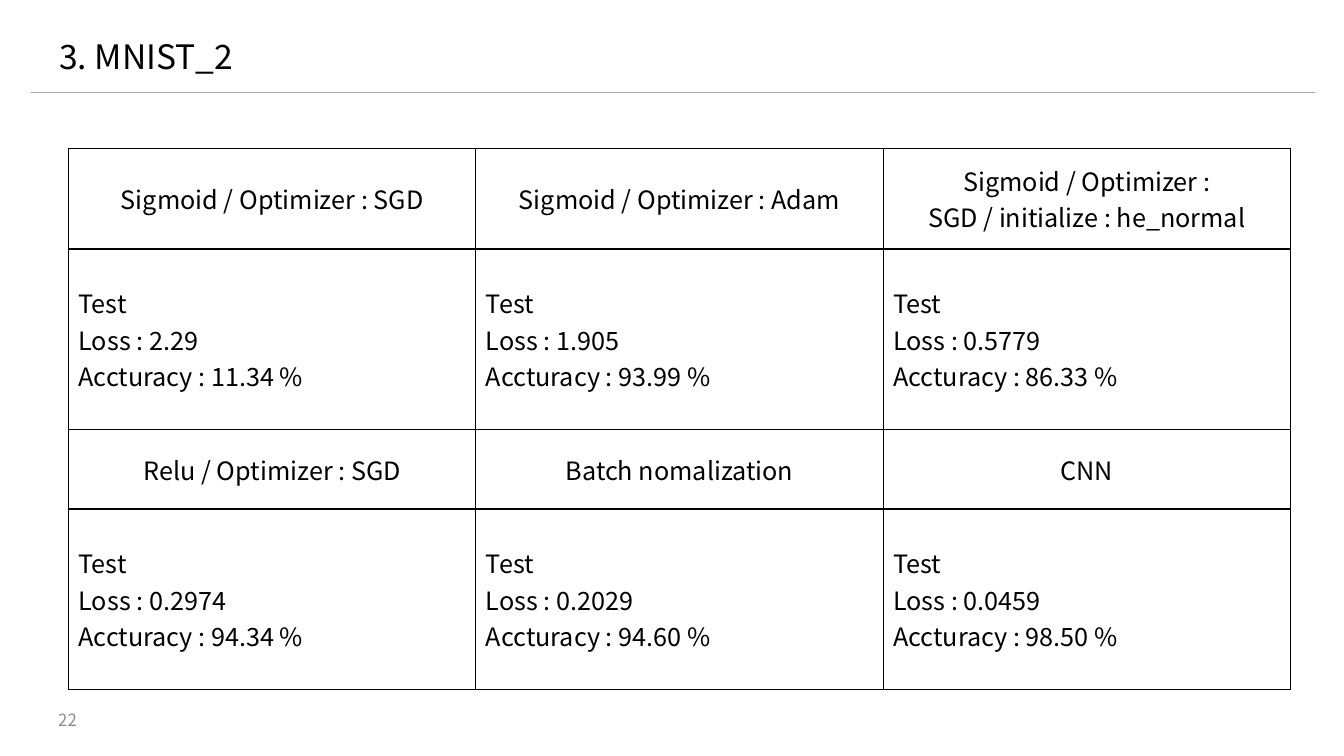
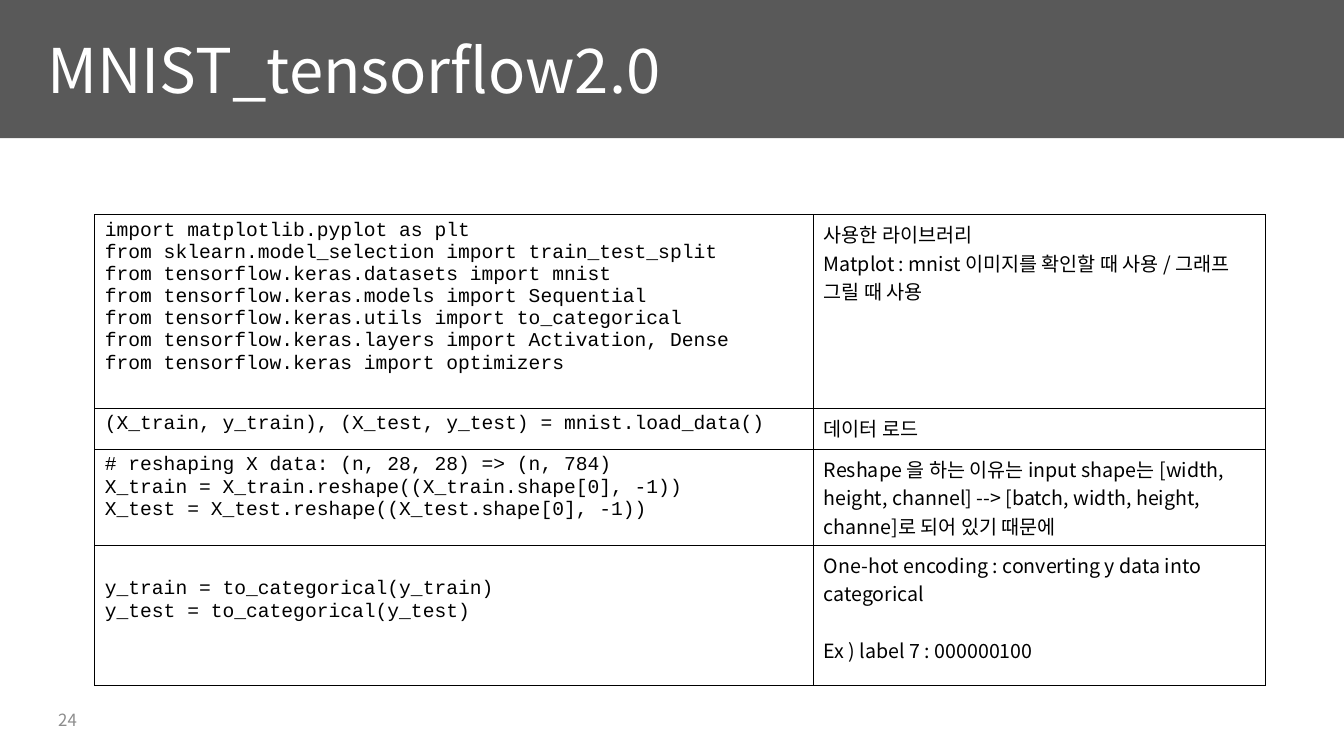
from lxml.etree import SubElement
from pptx import Presentation
from pptx.dml.color import RGBColor
from pptx.enum.shapes import MSO_CONNECTOR, MSO_SHAPE
from pptx.enum.text import MSO_ANCHOR, PP_ALIGN
from pptx.oxml.ns import qn
from pptx.util import Inches, Pt

BLACK = RGBColor(0x00, 0x00, 0x00)
WHITE = RGBColor(0xFF, 0xFF, 0xFF)
BAND = RGBColor(0x59, 0x59, 0x59)
RULE = RGBColor(0xA6, 0xA6, 0xA6)
GREY = RGBColor(0x8C, 0x8C, 0x8C)
SANS = "Noto Sans CJK KR"
MONO = "Courier New"

HEADS = [
    ["Sigmoid / Optimizer : SGD", "Sigmoid / Optimizer : Adam",
     "Sigmoid / Optimizer :\nSGD / initialize : he_normal"],
    ["Relu / Optimizer : SGD", "Batch nomalization", "CNN"],
]
SCORES = [
    [("2.29", "11.34"), ("1.905", "93.99"), ("0.5779", "86.33")],
    [("0.2974", "94.34"), ("0.2029", "94.60"), ("0.0459", "98.50")],
]
STEPS = [
    (["import matplotlib.pyplot as plt",
      "from sklearn.model_selection import train_test_split",
      "from tensorflow.keras.datasets import mnist",
      "from tensorflow.keras.models import Sequential",
      "from tensorflow.keras.utils import to_categorical",
      "from tensorflow.keras.layers import Activation, Dense",
      "from tensorflow.keras import optimizers"],
     ["사용한 라이브러리",
      "Matplot : mnist 이미지를 확인할 때 사용 / 그래프 그릴 때 사용"]),
    (["(X_train, y_train), (X_test, y_test) = mnist.load_data()"],
     ["데이터 로드"]),
    (["# reshaping X data: (n, 28, 28) => (n, 784)",
      "X_train = X_train.reshape((X_train.shape[0], -1))",
      "X_test = X_test.reshape((X_test.shape[0], -1))"],
     ["Reshape 을 하는 이유는 input shape는 [width, height, channel] --> "
      "[batch, width, height, channe]로 되어 있기 때문에"]),
    (["y_train = to_categorical(y_train)",
      "y_test = to_categorical(y_test)"],
     ["One-hot encoding : converting y data into categorical",
      "Ex ) label 7 : 000000100"]),
]


def add_run(para, text, size, color, face):
    run = para.add_run()
    run.text = text
    run.font.size = Pt(size)
    run.font.color.rgb = color
    run.font.name = face
    SubElement(run.font._element, qn("a:ea"), typeface=face)


def write(frame, lines, size, color=BLACK, face=SANS, align=PP_ALIGN.LEFT):
    frame.word_wrap = True
    for i, line in enumerate(lines):
        para = frame.add_paragraph() if i else frame.paragraphs[0]
        para.alignment = align
        for j, part in enumerate(line.split("\n")):
            if j:
                para.add_line_break()
            add_run(para, part, size, color, face)


def add_label(slide, text, box, size, color=BLACK, align=PP_ALIGN.LEFT):
    frame = slide.shapes.add_textbox(*map(Inches, box)).text_frame
    write(frame, [text], size, color, align=align)
    return frame


def add_page(slide, number):
    frame = add_label(slide, str(number), (0.31, 6.94, 0.72, 0.4), 12, GREY,
                      PP_ALIGN.CENTER)
    frame.vertical_anchor = MSO_ANCHOR.MIDDLE


def add_title(slide, text):
    frame = add_label(slide, text, (0.49, 0.38, 10, 0.44), 24)
    frame.paragraphs[0].line_spacing = 0.8
    rule = slide.shapes.add_connector(
        MSO_CONNECTOR.STRAIGHT, Inches(0.31), Inches(0.92),
        Inches(13.04), Inches(0.92))
    rule.line.color.rgb = RULE
    rule.line.width = Pt(0.5)
    SubElement(rule._element.spPr, qn("a:effectLst"))


def add_band(slide, text):
    band = slide.shapes.add_shape(MSO_SHAPE.RECTANGLE, 0, 0,
                                  Inches(13.33), Inches(1.37))
    band.shadow.inherit = False
    band.fill.solid()
    band.fill.fore_color.rgb = BAND
    band.line.fill.background()
    frame = band.text_frame
    frame.margin_left = Inches(0.47)
    frame.vertical_anchor = MSO_ANCHOR.MIDDLE
    write(frame, [text], 44, WHITE)


def add_edges(cell):
    props = cell._tc.get_or_add_tcPr()
    for side in ("lnL", "lnR", "lnT", "lnB"):
        edge = SubElement(props, qn(f"a:{side}"), w=str(Pt(1)))
        fill = SubElement(edge, qn("a:solidFill"))
        SubElement(fill, qn("a:srgbClr"), val=str(BLACK))


def add_grid(slide, left, top, widths, heights):
    grid = slide.shapes.add_table(
        len(heights), len(widths), Inches(left), Inches(top),
        Inches(sum(widths)), Inches(sum(heights))).table
    grid.first_row = False
    grid.horz_banding = False
    for col, width in zip(grid.columns, widths):
        col.width = Inches(width)
    for row, height in zip(grid.rows, heights):
        row.height = Inches(height)
    for cell in grid.iter_cells():
        add_edges(cell)
        cell.fill.background()
    return grid


def add_scores(slide):
    grid = add_grid(slide, 0.68, 1.47, [4.04] * 3, [1, 1.79, 0.79, 1.79])
    for i, (heads, scores) in enumerate(zip(HEADS, SCORES)):
        for col, (head, (loss, rate)) in enumerate(zip(heads, scores)):
            write(grid.cell(2 * i, col).text_frame, [head], 18,
                  align=PP_ALIGN.CENTER)
            write(grid.cell(2 * i + 1, col).text_frame,
                  ["Test", f"Loss : {loss}", f"Accturacy : {rate} %"], 18)
    for cell in grid.iter_cells():
        cell.vertical_anchor = MSO_ANCHOR.MIDDLE


def add_steps(slide):
    grid = add_grid(slide, 0.94, 2.13, [7.13, 4.48], [1.92, 0.41, 0.95, 1.39])
    for row, (code, notes) in enumerate(STEPS):
        write(grid.cell(row, 0).text_frame, code, 14, face=MONO)
        write(grid.cell(row, 1).text_frame, notes, 14)
    last = len(STEPS) - 1
    grid.cell(last, 0).margin_top = Inches(0.33)
    grid.cell(last, 1).text_frame.paragraphs[1].space_before = Pt(20)


def main():
    deck = Presentation()
    deck.slide_width = Inches(13.33)
    deck.slide_height = Inches(7.5)
    pages = [
        (22, add_title, "3. MNIST_2", add_scores),
        (24, add_band, "MNIST_tensorflow2.0", add_steps),
    ]
    for number, add_head, title, add_body in pages:
        slide = deck.slides.add_slide(deck.slide_layouts[6])
        add_head(slide, title)
        add_body(slide)
        add_page(slide, number)
    deck.save("out.pptx")


if __name__ == "__main__":
    main()
